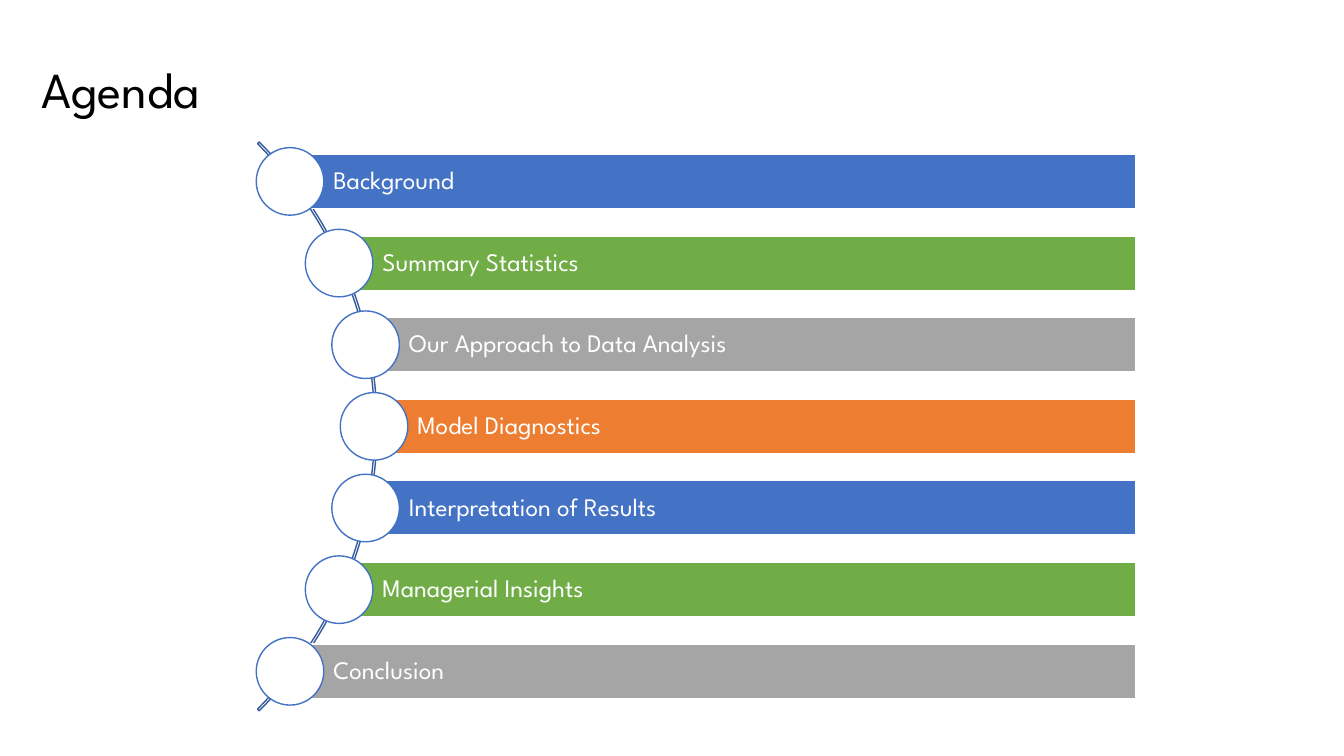
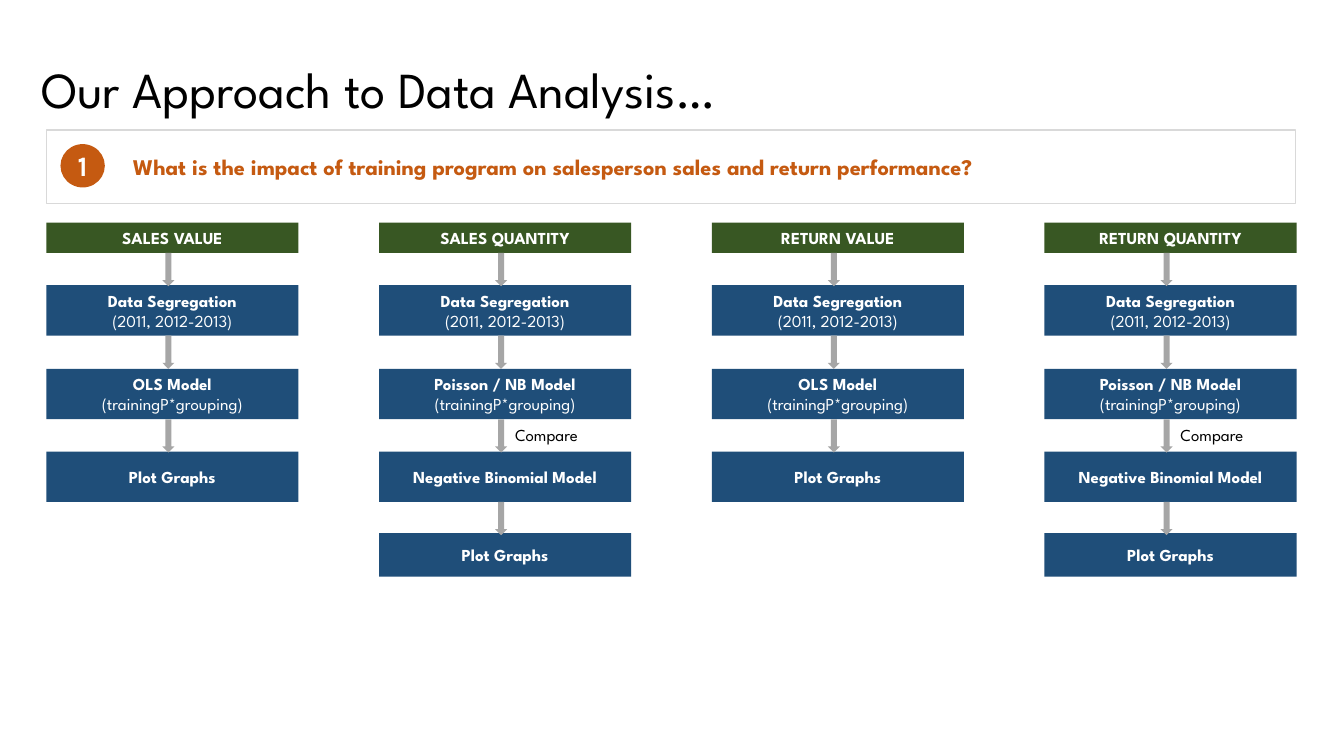
from math import sqrt

from pptx import Presentation
from pptx.dml.color import RGBColor
from pptx.enum.shapes import MSO_SHAPE
from pptx.enum.text import MSO_ANCHOR, PP_ALIGN
from pptx.util import Inches, Pt

RECT, OVAL = MSO_SHAPE.RECTANGLE, MSO_SHAPE.OVAL
ARC, DOWN_ARROW = MSO_SHAPE.BLOCK_ARC, MSO_SHAPE.DOWN_ARROW
TOP, MIDDLE = MSO_ANCHOR.TOP, MSO_ANCHOR.MIDDLE
LEFT, CENTER = PP_ALIGN.LEFT, PP_ALIGN.CENTER

BLACK = RGBColor(0x00, 0x00, 0x00)
WHITE = RGBColor(0xFF, 0xFF, 0xFF)
BLUE = RGBColor(0x44, 0x72, 0xC4)
GREEN = RGBColor(0x70, 0xAD, 0x47)
GRAY = RGBColor(0xA5, 0xA5, 0xA5)
ORANGE = RGBColor(0xED, 0x7D, 0x31)
ARC_BLUE = RGBColor(0x36, 0x5B, 0x9D)
NAVY = RGBColor(0x1F, 0x4E, 0x79)
DARK_GREEN = RGBColor(0x38, 0x57, 0x23)
RUST = RGBColor(0xC5, 0x5A, 0x11)
ARROW_GRAY = RGBColor(0xA6, 0xA6, 0xA6)
BORDER_GRAY = RGBColor(0xD9, 0xD9, 0xD9)

# Text formats
BODY_FONT = "League Spartan"
TITLE = {"name": BODY_FONT, "size": Pt(36), "color": BLACK}
AGENDA = {"name": BODY_FONT, "size": Pt(18), "color": WHITE}
QUESTION = {"name": BODY_FONT, "size": Pt(16), "color": RUST, "bold": True}
NUMBER = {"name": "Karla", "size": Pt(20), "color": WHITE, "bold": True}
STEP = {"name": BODY_FONT, "size": Pt(12), "color": WHITE, "bold": True}
DETAIL = {**STEP, "bold": False}
LABEL = {**DETAIL, "color": BLACK}

# Agenda content and geometry
AGENDA_ITEMS = [
    ("Background", BLUE),
    ("Summary Statistics", GREEN),
    ("Our Approach to Data Analysis", GRAY),
    ("Model Diagnostics", ORANGE),
    ("Interpretation of Results", BLUE),
    ("Managerial Insights", GREEN),
    ("Conclusion", GRAY),
]
ARC_X, ARC_Y, ARC_SIZE = -0.25, 4.23, 7.98
RADIUS, AGENDA_PITCH = 3.96, 0.81
BAR_RIGHT, BAR_H, DOT = 11.26, 0.54, 0.67

# Flow content and geometry
SEGREGATION = ("Data Segregation", "(2011, 2012-2013)")
OLS = ("OLS Model", "(trainingP*grouping)")
POISSON = ("Poisson / NB Model", "(trainingP*grouping)")
BINOMIAL = ("Negative Binomial Model",)
PLOT = ("Plot Graphs",)
VALUE_STEPS = [SEGREGATION, OLS, PLOT]
QUANTITY_STEPS = [SEGREGATION, POISSON, BINOMIAL, PLOT]
FLOWS = [
    ("SALES VALUE", VALUE_STEPS),
    ("SALES QUANTITY", QUANTITY_STEPS),
    ("RETURN VALUE", VALUE_STEPS),
    ("RETURN QUANTITY", QUANTITY_STEPS),
]
FLOW_X, FLOW_PITCH, FLOW_W = 0.46, 3.3, 2.5
HEADER_Y, HEADER_H = 2.21, 0.3
STEP_ROWS = [(2.83, 0.5), (3.66, 0.5), (4.48, 0.5), (5.29, 0.43)]
ARROW_W, ARROW_H = 0.12, 0.33


def write(tf, lines, align=LEFT, anchor=MIDDLE, spacing=None):
    """Fill a frame with one paragraph per (text, format) pair."""
    tf.vertical_anchor = anchor
    for i, (text, fmt) in enumerate(lines):
        p = tf.add_paragraph() if i else tf.paragraphs[0]
        p.alignment = align
        p.line_spacing = spacing
        r = p.add_run()
        r.text = text
        for key, value in fmt.items():
            if key == "color":
                r.font.color.rgb = value
            else:
                setattr(r.font, key, value)


def add_text(s, x, y, w, h, text, fmt, **layout):
    tf = s.shapes.add_textbox(Inches(x), Inches(y), Inches(w), Inches(h)).text_frame
    tf.word_wrap = True
    write(tf, [(text, fmt)], **layout)


def add_shape(s, kind, x, y, w, h, fill=None, line=None):
    sp = s.shapes.add_shape(kind, Inches(x), Inches(y), Inches(w), Inches(h))
    sp.shadow.inherit = False
    if fill is None:
        sp.fill.background()
    else:
        sp.fill.solid()
        sp.fill.fore_color.rgb = fill
    if line is None:
        sp.line.fill.background()
    else:
        sp.line.color.rgb = line
        sp.line.width = Pt(1)
    return sp


def add_slide(prs, title):
    s = prs.slides.add_slide(prs.slide_layouts[6])
    add_text(s, 0.31, 0.19, 11.5, 1.45, title, TITLE, spacing=0.9)
    return s


def add_agenda_item(s, x, y, text, color):
    """Bar starting at the centre (x, y) of its dot."""
    bar = add_shape(s, RECT, x, y - BAR_H / 2, BAR_RIGHT - x, BAR_H, color, WHITE)
    bar.text_frame.margin_left = Inches(0.43)
    write(bar.text_frame, [(text, AGENDA)], spacing=0.9)
    add_shape(s, OVAL, x - DOT / 2, y - DOT / 2, DOT, DOT, WHITE, BLUE)


def add_flow(s, x, header, steps):
    """Column of a header and its steps, with an arrow into each step."""
    box = add_shape(s, RECT, x, HEADER_Y, FLOW_W, HEADER_H, DARK_GREEN)
    write(box.text_frame, [(header, STEP)], CENTER)
    bottom = HEADER_Y + HEADER_H
    for lines, (y, h) in zip(steps, STEP_ROWS):
        box = add_shape(s, RECT, x, y, FLOW_W, h, NAVY)
        write(box.text_frame, list(zip(lines, (STEP, DETAIL))), CENTER)
        add_shape(s, DOWN_ARROW, x + 1.15, bottom, ARROW_W, ARROW_H, ARROW_GRAY)
        if lines == BINOMIAL:
            add_text(s, x + 1.25, bottom, 1.23, 0.3, "Compare", LABEL, anchor=TOP)
        bottom = y + h


def build_agenda(prs):
    s = add_slide(prs, "Agenda")
    arc = add_shape(s, ARC, ARC_X - ARC_SIZE / 2, ARC_Y - ARC_SIZE / 2,
                    ARC_SIZE, ARC_SIZE, line=ARC_BLUE)
    for i, value in enumerate((189, 27, 0.003)):
        arc.adjustments[i] = value
    # Dots sit on the arc at equal vertical steps
    middle = (len(AGENDA_ITEMS) - 1) / 2
    for i, (text, color) in enumerate(AGENDA_ITEMS):
        dy = (i - middle) * AGENDA_PITCH
        x = ARC_X + sqrt(RADIUS ** 2 - dy ** 2)
        add_agenda_item(s, x, ARC_Y + dy, text, color)


def build_approach(prs):
    s = add_slide(prs, "Our Approach to Data Analysis…")
    # Question banner
    add_shape(s, RECT, FLOW_X, 1.29, 12.39, 0.73, line=BORDER_GRAY)
    dot = add_shape(s, OVAL, 0.6, 1.43, 0.44, 0.43, RUST)
    dot.text_frame.word_wrap = False
    write(dot.text_frame, [("1", NUMBER)], CENTER)
    add_text(s, 1.22, 1.43, 11.41, 0.44,
             "What is the impact of training program on salesperson sales"
             " and return performance?", QUESTION)
    # Flow columns
    for i, (header, steps) in enumerate(FLOWS):
        add_flow(s, FLOW_X + i * FLOW_PITCH, header, steps)


def main():
    prs = Presentation()
    prs.slide_width, prs.slide_height = Inches(13.33), Inches(7.5)
    build_agenda(prs)
    build_approach(prs)
    prs.save("out.pptx")


if __name__ == "__main__":
    main()
